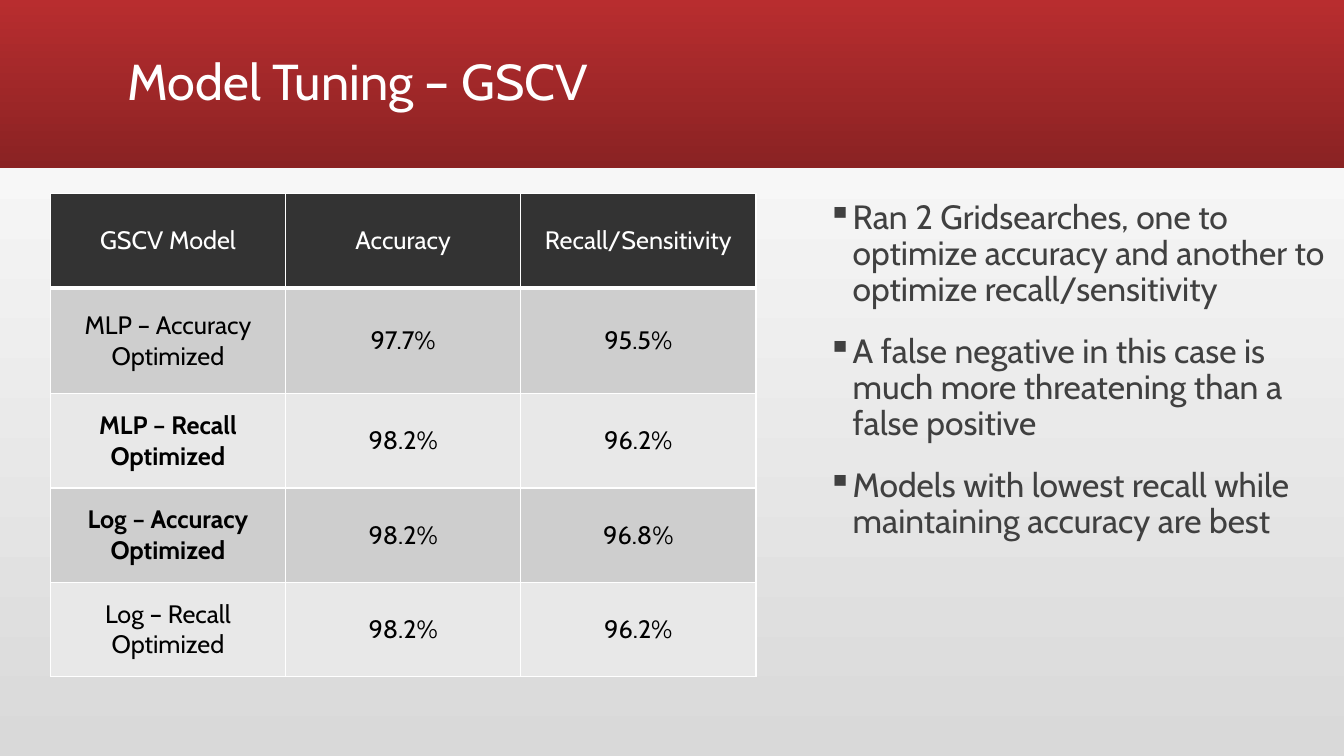
"""Builds the Model Tuning slide with a results table and takeaways."""
from lxml import etree
from pptx import Presentation
from pptx import util as u
from pptx.dml.color import RGBColor
from pptx.enum import shapes, text
from pptx.oxml.ns import qn

TITLE = "Model Tuning – GSCV"
HEADER = ["GSCV Model", "Accuracy", "Recall/Sensitivity"]
RESULTS = [
    ("MLP – Accuracy Optimized", "97.7%", "95.5%"),
    ("MLP – Recall\nOptimized", "98.2%", "96.2%"),
    ("Log – Accuracy\nOptimized", "98.2%", "96.8%"),
    ("Log – Recall\nOptimized", "98.2%", "96.2%"),
]
BEST_ROWS = (2, 3)
POINTS = [
    "Ran 2 Gridsearches, one to optimize accuracy and another to optimize recall/sensitivity",
    "A false negative in this case is much more threatening than a false positive",
    "Models with lowest recall while maintaining accuracy are best",
]
FONT = "Cabin"
WHITE, BLACK, GREY = "FFFFFF", "000000", "404040"
HEADER_FILL, BANDS = "333333", ("E8E8E8", "CECECE")
WIDTH, HEIGHT, BANNER_HEIGHT = 960, 540, 120
COL_WIDTH, ROW_HEIGHT, TALL_ROW = 168, 67.4, 75.4


def rgb(code):
    return RGBColor.from_string(code)


def shade(fill, top, bottom):
    fill.gradient()
    fill.gradient_angle = 270
    for stop, code in zip(fill.gradient_stops, (top, bottom)):
        stop.color.rgb = rgb(code)


def write(tf, content, size, color, bold=False, align=None, bullet=None,
          line=None, before=None, anchor=None):
    tf.word_wrap = True
    if anchor is not None:
        tf.vertical_anchor = anchor
    for i, part in enumerate(content.split("\n")):
        p = tf.paragraphs[0] if i == 0 else tf.add_paragraph()
        p.alignment, p.line_spacing = align, line
        if before:
            p.space_before = u.Pt(before)
        if bullet:
            pPr = p._p.get_or_add_pPr()
            pPr.set("marL", str(u.Pt(18)))
            pPr.set("indent", str(-u.Pt(18)))
            etree.SubElement(pPr, qn("a:buChar")).set("char", bullet)
        r = p.add_run()
        r.text = part
        r.font.name, r.font.size, r.font.bold = FONT, u.Pt(size), bold
        r.font.color.rgb = rgb(color)


def add_box(s, left, top, width, height):
    return s.shapes.add_textbox(*map(u.Pt, (left, top, width, height))).text_frame


def border(cell, widths):
    tcPr = cell._tc.get_or_add_tcPr()
    for i, (side, width) in enumerate(widths.items()):
        ln = etree.Element(qn(f"a:ln{side}"), w=str(u.Pt(width)))
        fill = etree.SubElement(ln, qn("a:solidFill"))
        etree.SubElement(fill, qn("a:srgbClr")).set("val", WHITE)
        tcPr.insert(i, ln)


def add_results(s, left, top):
    rows = [HEADER, *RESULTS]
    heights = [TALL_ROW if i == 1 else ROW_HEIGHT for i in range(len(rows))]
    table = s.shapes.add_table(
        len(rows), len(HEADER), u.Pt(left), u.Pt(top),
        u.Pt(COL_WIDTH * len(HEADER)), u.Pt(sum(heights))).table
    for col in table.columns:
        col.width = u.Pt(COL_WIDTH)
    for i, row in enumerate(rows):
        table.rows[i].height = u.Pt(heights[i])
        for j, value in enumerate(row):
            cell = table.cell(i, j)
            cell.vertical_anchor = text.MSO_ANCHOR.MIDDLE
            cell.fill.solid()
            cell.fill.fore_color.rgb = rgb(BANDS[i % 2] if i else HEADER_FILL)
            border(cell, {"L": 1, "R": 1, "T": 3 if i == 1 else 1, "B": 1 if i else 3})
            write(cell.text_frame, value, 18, BLACK if i else WHITE,
                  bold=i in BEST_ROWS and j == 0, align=text.PP_ALIGN.CENTER)


def main():
    prs = Presentation()
    prs.slide_width, prs.slide_height = u.Pt(WIDTH), u.Pt(HEIGHT)
    s = prs.slides.add_slide(prs.slide_layouts[6])
    shade(s.background.fill, WHITE, "D9D9D9")

    banner = s.shapes.add_shape(shapes.MSO_SHAPE.RECTANGLE, 0, 0,
                                u.Pt(WIDTH), u.Pt(BANNER_HEIGHT))
    banner.shadow.inherit = False
    banner.line.fill.background()
    shade(banner.fill, "B82D2F", "8A2223")

    write(add_box(s, 84, 8, 792, 104), TITLE, 36, WHITE, line=0.9,
          anchor=text.MSO_ANCHOR.MIDDLE)
    write(add_box(s, 584, 139.5, 378, 360), "\n".join(POINTS), 24, GREY,
          bullet="▪", line=0.9, before=18, anchor=text.MSO_ANCHOR.TOP)
    add_results(s, 36, 138.4)
    prs.save("out.pptx")


if __name__ == "__main__":
    main()
